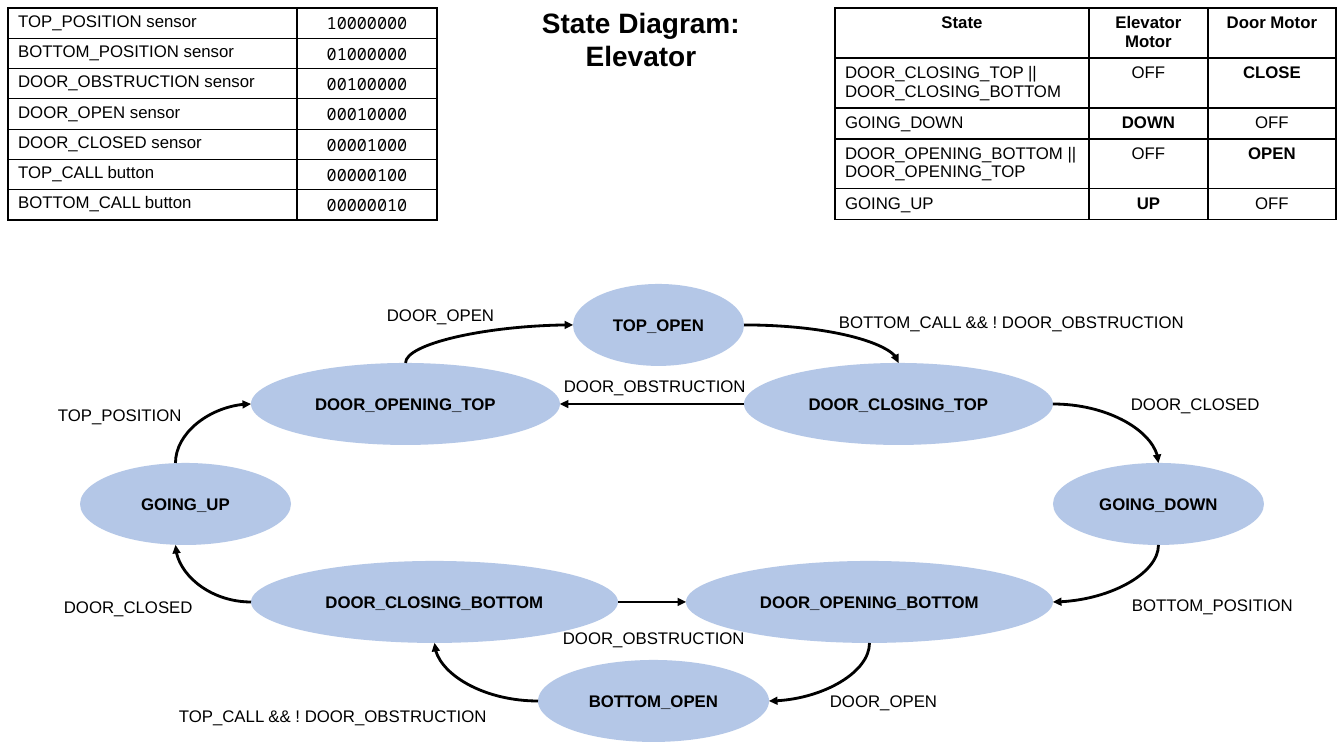
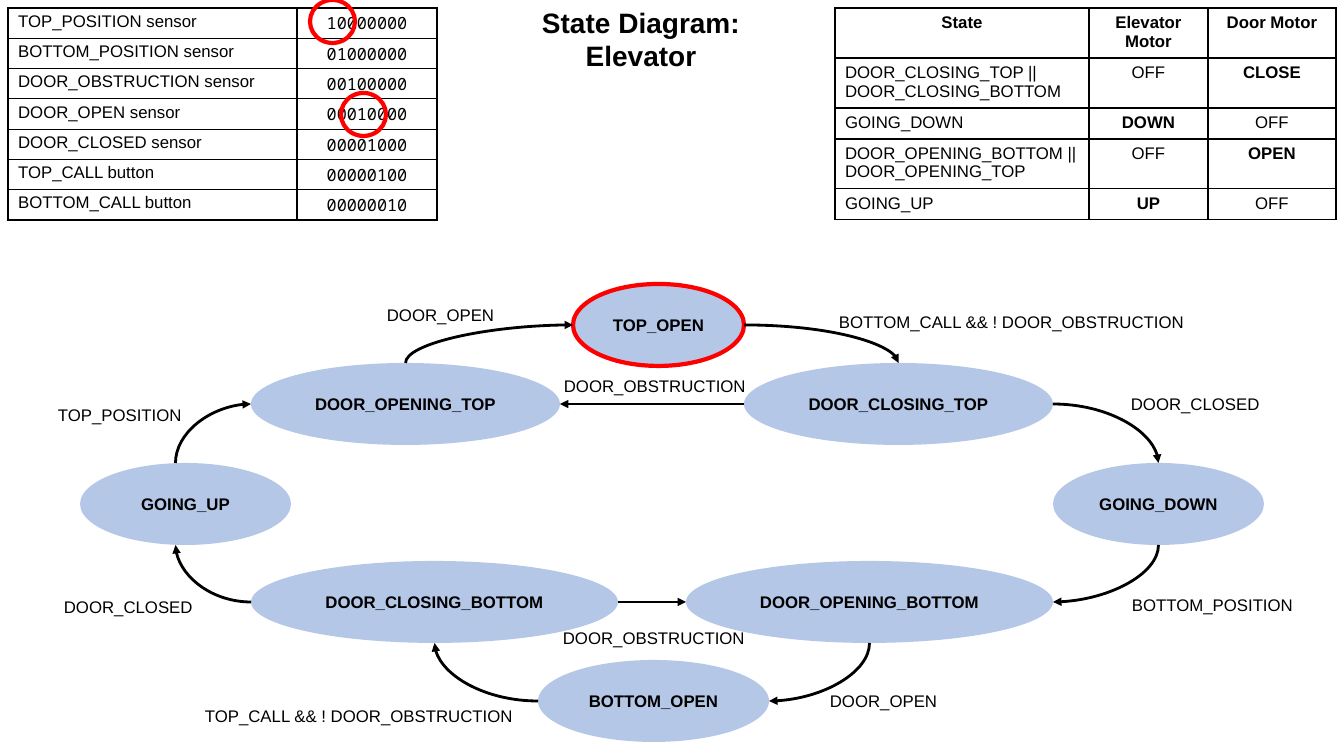
from dataclasses import dataclass

from lxml import etree
from pptx import Presentation
from pptx import util as u
from pptx.dml import color
from pptx.enum import shapes, text
from pptx.oxml import ns

PIXEL = 914400 / 100.8
CENTER = text.PP_ALIGN.CENTER
LEFT = text.PP_ALIGN.LEFT


@dataclass(frozen=True)
class Theme:
    """Colours, fonts and sizes shared by the slides."""
    ink: str = "000000"
    state: str = "B4C7E7"
    highlight: str = "FF0000"
    font: str = "Arial"
    code_font: str = "Noto Sans Mono"
    title_size: int = 20
    body_size: int = 12
    border: int = 1
    arrow: int = 2
    ring: int = 3


SENSORS = [
    ("TOP_POSITION sensor", "10000000"),
    ("BOTTOM_POSITION sensor", "01000000"),
    ("DOOR_OBSTRUCTION sensor", "00100000"),
    ("DOOR_OPEN sensor", "00010000"),
    ("DOOR_CLOSED sensor", "00001000"),
    ("TOP_CALL button", "00000100"),
    ("BOTTOM_CALL button", "00000010"),
]

MOTORS = [
    ("State", "Elevator Motor", "Door Motor"),
    ("DOOR_CLOSING_TOP || DOOR_CLOSING_BOTTOM", "OFF", "CLOSE"),
    ("GOING_DOWN", "DOWN", "OFF"),
    ("DOOR_OPENING_BOTTOM || DOOR_OPENING_TOP", "OFF", "OPEN"),
    ("GOING_UP", "UP", "OFF"),
]

# State: left, top, width
STATE_HEIGHT = 82
STATES = {
    "TOP_OPEN": (573, 284, 171),
    "DOOR_OPENING_TOP": (251, 363, 309),
    "DOOR_CLOSING_TOP": (744, 363, 309),
    "GOING_UP": (80, 463, 211),
    "GOING_DOWN": (1053, 463, 211),
    "DOOR_CLOSING_BOTTOM": (251, 561, 367),
    "DOOR_OPENING_BOTTOM": (686, 561, 367),
    "BOTTOM_OPEN": (538, 660, 231),
}

# Side of an ellipse: connection site, horizontal and vertical fraction
SIDES = {
    "top": (0, 0.5, 0),
    "left": (2, 0, 0.5),
    "bottom": (4, 0.5, 1),
    "right": (6, 1, 0.5),
}

# Start state and side, end state and side
TRANSITIONS = [
    ("DOOR_OPENING_TOP", "top", "TOP_OPEN", "left"),
    ("TOP_OPEN", "right", "DOOR_CLOSING_TOP", "top"),
    ("DOOR_CLOSING_TOP", "left", "DOOR_OPENING_TOP", "right"),
    ("DOOR_CLOSING_TOP", "right", "GOING_DOWN", "top"),
    ("GOING_DOWN", "bottom", "DOOR_OPENING_BOTTOM", "right"),
    ("DOOR_OPENING_BOTTOM", "bottom", "BOTTOM_OPEN", "right"),
    ("BOTTOM_OPEN", "left", "DOOR_CLOSING_BOTTOM", "bottom"),
    ("DOOR_CLOSING_BOTTOM", "right", "DOOR_OPENING_BOTTOM", "left"),
    ("DOOR_CLOSING_BOTTOM", "left", "GOING_UP", "bottom"),
    ("GOING_UP", "top", "DOOR_OPENING_TOP", "left"),
]

# Arrows meet this state left of its middle, so they are not glued to it
OFF_CENTRE = {"GOING_UP": -10}

# Text, left, top, width
LABELS = [
    ("DOOR_OPEN", 377, 300, 204),
    ("BOTTOM_CALL && ! DOOR_OBSTRUCTION", 829, 307, 428),
    ("DOOR_OBSTRUCTION", 554, 371, 302),
    ("DOOR_CLOSED", 1121, 389, 182),
    ("TOP_POSITION", 48, 400, 204),
    ("BOTTOM_POSITION", 1122, 590, 182),
    ("DOOR_CLOSED", 54, 592, 204),
    ("DOOR_OBSTRUCTION", 553, 623, 204),
    ("DOOR_OPEN", 820, 686, 182),
]


def px(length):
    """Turn pixels into EMU."""
    return u.Emu(round(length * PIXEL))


def rgb(value):
    """Turn a hex string into a colour."""
    return color.RGBColor.from_string(value)


class Deck:
    """Holds the style and the current slide, and draws elements on it."""

    def __init__(self, theme):
        self.theme = theme
        self.presentation = Presentation()
        self.presentation.slide_width = px(1344)
        self.presentation.slide_height = px(756)
        self.slide = None

    def add_slide(self, title):
        """Start a slide and place its title."""
        layout = self.presentation.slide_layouts[5]
        self.slide = self.presentation.slides.add_slide(layout)
        shape = self.slide.shapes.title
        shape.left, shape.top, shape.width, shape.height = map(px, (480, 0, 322, 77))
        frame = shape.text_frame
        frame.auto_size = text.MSO_AUTO_SIZE.NONE
        self.set_text(frame, title, CENTER, bold=True, size=self.theme.title_size)

    def set_text(self, frame, words, align=LEFT, bold=False, size=None, font=None,
                 anchor=text.MSO_ANCHOR.TOP):
        """Fill a text frame with one formatted paragraph."""
        frame.text = words
        frame.word_wrap = True
        frame.vertical_anchor = anchor
        paragraph = frame.paragraphs[0]
        paragraph.alignment = align
        for run in paragraph.runs:
            run.font.name = font or self.theme.font
            run.font.size = u.Pt(size or self.theme.body_size)
            run.font.bold = bold
            run.font.color.rgb = rgb(self.theme.ink)

    def label(self, words, left, top, width):
        """Add a transition label."""
        box = self.slide.shapes.add_textbox(*map(px, (left, top, width, 30)))
        self.set_text(box.text_frame, words)

    def ellipse(self, left, top, width, height, fill=None, ring=False):
        """Add an ellipse, filled or ringed in the highlight colour."""
        shape = self.slide.shapes.add_shape(
            shapes.MSO_SHAPE.OVAL, *map(px, (left, top, width, height)))
        shape.shadow.inherit = False
        if fill:
            shape.fill.solid()
            shape.fill.fore_color.rgb = rgb(fill)
        else:
            shape.fill.background()
        if ring:
            shape.line.color.rgb = rgb(self.theme.highlight)
            shape.line.width = u.Pt(self.theme.ring)
        else:
            shape.line.fill.background()
        return shape

    def state(self, name, active):
        """Add a named state, ringed when it is the active one."""
        shape = self.ellipse(*STATES[name], STATE_HEIGHT, self.theme.state, name == active)
        self.set_text(shape.text_frame, name, CENTER, bold=True,
                      anchor=text.MSO_ANCHOR.MIDDLE)
        return shape

    def arrow(self, start, start_side, end, end_side, ovals):
        """Add a curved arrow between the sides of two states."""
        x1, y1 = meeting_point(start, start_side)
        x2, y2 = meeting_point(end, end_side)
        dx, dy = x2 - x1, y2 - y1
        middle_x, middle_y = (x1 + x2) / 2, (y1 + y2) / 2
        starts_upright = start_side in ("top", "bottom")
        ends_upright = end_side in ("top", "bottom")
        turns = 1 if starts_upright else 2 if dx < 0 else 0
        for _ in range(turns):
            dx, dy = dy, -dx
        connector = self.slide.shapes.add_connector(
            shapes.MSO_CONNECTOR.CURVE,
            px(middle_x - dx / 2), px(middle_y - dy / 2),
            px(middle_x + dx / 2), px(middle_y + dy / 2))
        connector.line.color.rgb = rgb(self.theme.ink)
        connector.line.width = u.Pt(self.theme.arrow)
        properties = connector.element.spPr
        if turns:
            properties.find(ns.qn("a:xfrm")).set("rot", str(turns * 5400000))
        if starts_upright != ends_upright:
            properties.find(ns.qn("a:prstGeom")).set("prst", "curvedConnector2")
        head = etree.SubElement(properties.find(ns.qn("a:ln")), ns.qn("a:tailEnd"))
        head.set("type", "triangle")
        etree.SubElement(properties, ns.qn("a:effectLst"))
        links = next(connector.element.iter(ns.qn("p:cNvCxnSpPr")))
        for tag, state, side in (("a:stCxn", start, start_side), ("a:endCxn", end, end_side)):
            if state not in OFF_CENTRE:
                link = etree.SubElement(links, ns.qn(tag))
                link.set("id", str(ovals[state].shape_id))
                link.set("idx", str(SIDES[side][0]))

    def table(self, left, top, widths, heights, margins):
        """Add an empty bordered table with the given top and bottom margins."""
        frame = self.slide.shapes.add_table(
            len(heights), len(widths),
            *map(px, (left, top, sum(widths), sum(heights))))
        table = frame.table
        table.first_row = table.horz_banding = False
        for column, width in zip(table.columns, widths):
            column.width = px(width)
        for row, height in zip(table.rows, heights):
            row.height = px(height)
        for cell in table.iter_cells():
            cell.margin_top, cell.margin_bottom = map(px, margins)
            self.outline(cell)
            cell.fill.background()
        return table

    def outline(self, cell):
        """Draw the four borders of a table cell."""
        properties = cell._tc.get_or_add_tcPr()
        for side in ("a:lnL", "a:lnR", "a:lnT", "a:lnB"):
            line = etree.SubElement(properties, ns.qn(side))
            line.set("w", str(u.Pt(self.theme.border)))
            fill = etree.SubElement(line, ns.qn("a:solidFill"))
            etree.SubElement(fill, ns.qn("a:srgbClr")).set("val", self.theme.ink)

    def sensor_table(self):
        """Add the table of input bits."""
        count = len(SENSORS)
        table = self.table(8, 8, (289, 140), [212 / count] * count, (4, 3))
        for row, (sensor, bits) in enumerate(SENSORS):
            self.set_text(table.cell(row, 0).text_frame, sensor)
            self.set_text(table.cell(row, 1).text_frame, bits, CENTER,
                          font=self.theme.code_font)

    def motor_table(self):
        """Add the table of motor outputs, with running motors in bold."""
        table = self.table(835, 8, (254, 119, 128), (50, 50, 31, 50, 31), (5, 5))
        for row, values in enumerate(MOTORS):
            for column, value in enumerate(values):
                header, output = row == 0, column > 0
                self.set_text(table.cell(row, column).text_frame, value,
                              CENTER if header or output else LEFT,
                              bold=header or (output and value != "OFF"))


def meeting_point(state, side):
    """Find where an arrow meets a side of a state."""
    left, top, width = STATES[state]
    _, across, down = SIDES[side]
    return (left + across * width + OFF_CENTRE.get(state, 0),
            top + down * STATE_HEIGHT)


def elevator_slide(deck, top_call_left, active=None, rings=()):
    """Build the state diagram, with an active state and ringed bits."""
    deck.add_slide("State Diagram: Elevator")
    deck.sensor_table()
    deck.motor_table()
    ovals = {name: deck.state(name, active) for name in STATES}
    for transition in TRANSITIONS:
        deck.arrow(*transition, ovals)
    for label in LABELS:
        deck.label(*label)
    deck.label("TOP_CALL && ! DOOR_OBSTRUCTION", top_call_left, 701, 367)
    for left, top in rings:
        deck.ellipse(left, top, 45, 43, ring=True)


def main():
    """Build and save the presentation."""
    deck = Deck(Theme())
    elevator_slide(deck, 169)
    elevator_slide(deck, 195, active="TOP_OPEN", rings=[(310, 0), (341, 93)])
    deck.presentation.save("out.pptx")


main()
